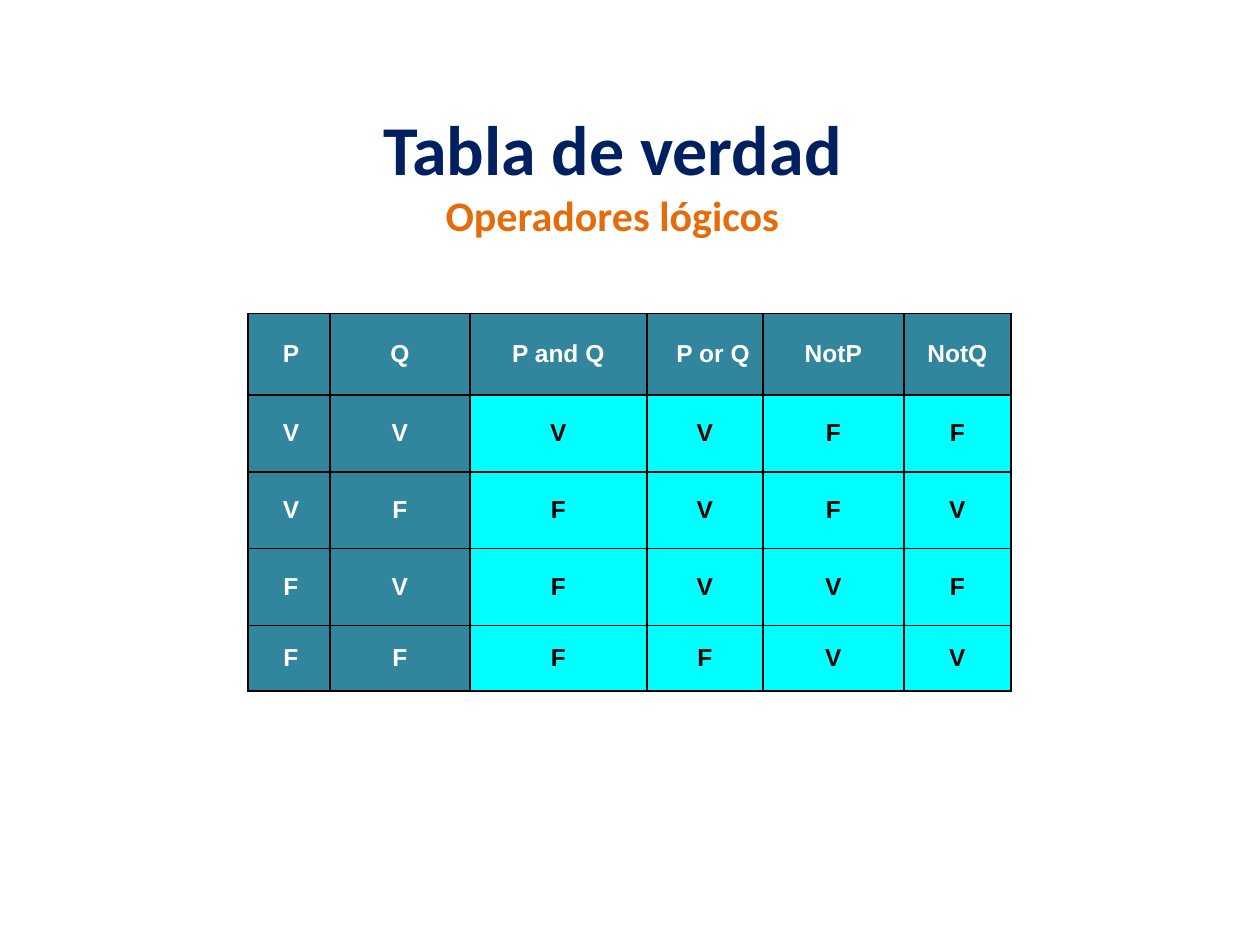
from lxml.etree import SubElement
from pptx import Presentation
from pptx.dml.color import RGBColor
from pptx.enum.text import MSO_ANCHOR, MSO_AUTO_SIZE, PP_ALIGN
from pptx.oxml.ns import qn
from pptx.util import Cm, Pt

NAVY, ORANGE, TEAL, CYAN = "002060", "E46C0A", "31859C", "00FFFF"
BLACK, WHITE = "000000", "FFFFFF"
MARGINS = {"margin_left": 0, "margin_top": 0, "margin_right": 0, "margin_bottom": 0}

ROWS = [
    ["P", "Q", "P and Q", "P or Q", "NotP", "NotQ"],
    ["V", "V", "V", "V", "F", "F"],
    ["V", "F", "F", "V", "F", "V"],
    ["F", "V", "F", "V", "V", "F"],
    ["F", "F", "F", "F", "V", "V"],
]
COL_WIDTHS = [1.65, 2.82, 3.57, 2.34, 2.84, 2.16]
ROW_HEIGHTS = [1.64, 1.55, 1.55, 1.55, 1.32]


def rgb(color):
    return RGBColor.from_string(color)


def set_attrs(obj, values):
    for name, value in values.items():
        setattr(obj, name, value)


class SlideBuilder:
    """Holds the style and the current slide of the truth table."""

    title_font = "Calibri"
    table_font = "Arial"
    table_size = 14

    def __init__(self, prs):
        self.slide = prs.slides.add_slide(prs.slide_layouts[5])

    def text(self, p, text, font, size, color, margin=0, indent=0):
        set_attrs(p, {"alignment": PP_ALIGN.CENTER, "space_before": Pt(0)})
        pPr = p._p.get_or_add_pPr()
        pPr.set("marL", str(Cm(margin)))
        pPr.set("indent", str(Cm(indent)))
        r = p.add_run()
        r.text = text
        set_attrs(r.font, {"name": font, "size": Pt(size), "bold": True})
        r.font.color.rgb = rgb(color)

    def title(self, title, subtitle, left, top, width, height):
        sp = self.slide.shapes.title
        set_attrs(sp, {"left": Cm(left), "top": Cm(top),
                       "width": Cm(width), "height": Cm(height)})
        tf = sp.text_frame
        set_attrs(tf, {**MARGINS, "word_wrap": True, "auto_size": MSO_AUTO_SIZE.NONE,
                       "vertical_anchor": MSO_ANCHOR.TOP})
        self.text(tf.paragraphs[0], title, self.title_font, 40, NAVY, indent=-0.36)
        self.text(tf.add_paragraph(), subtitle, self.title_font, 24, ORANGE)

    def border(self, cell, color=BLACK, width=1):
        tcPr = cell._tc.get_or_add_tcPr()
        for position, side in enumerate(("lnL", "lnR", "lnT", "lnB")):
            ln = SubElement(tcPr, qn(f"a:{side}"), w=str(Pt(width)))
            tcPr.insert(position, ln)
            fill = SubElement(ln, qn("a:solidFill"))
            SubElement(fill, qn("a:srgbClr"), val=color)

    def cell_indents(self, row, col):
        if col == 0:
            return 0.08, 0
        if (row, col) == (0, 3):
            return 0.33, 0
        if row > 0 and col == 5:
            return 0, -0.25
        return 0, 0

    def table(self, rows, left, top, widths, heights):
        table = self.slide.shapes.add_table(
            len(rows), len(widths), Cm(left), Cm(top),
            Cm(sum(widths)), Cm(sum(heights))).table
        for column, width in zip(table.columns, widths):
            column.width = Cm(width)
        for row, height in zip(table.rows, heights):
            row.height = Cm(height)
        for i, values in enumerate(rows):
            for j, value in enumerate(values):
                cell = table.cell(i, j)
                is_input = i == 0 or j < 2
                set_attrs(cell, {**MARGINS, "vertical_anchor": MSO_ANCHOR.MIDDLE})
                cell.fill.solid()
                cell.fill.fore_color.rgb = rgb(TEAL if is_input else CYAN)
                self.border(cell)
                self.text(cell.text_frame.paragraphs[0], value, self.table_font,
                          self.table_size, WHITE if is_input else BLACK,
                          *self.cell_indents(i, j))


def main():
    prs = Presentation()
    set_attrs(prs, {"slide_width": Cm(25.4), "slide_height": Cm(19.05)})
    builder = SlideBuilder(prs)
    builder.title("Tabla de verdad", "Operadores lógicos", 2.31, 2.13, 20.07, 3.51)
    builder.table(ROWS, 5, 6.32, COL_WIDTHS, ROW_HEIGHTS)
    prs.save("out.pptx")


if __name__ == "__main__":
    main()
